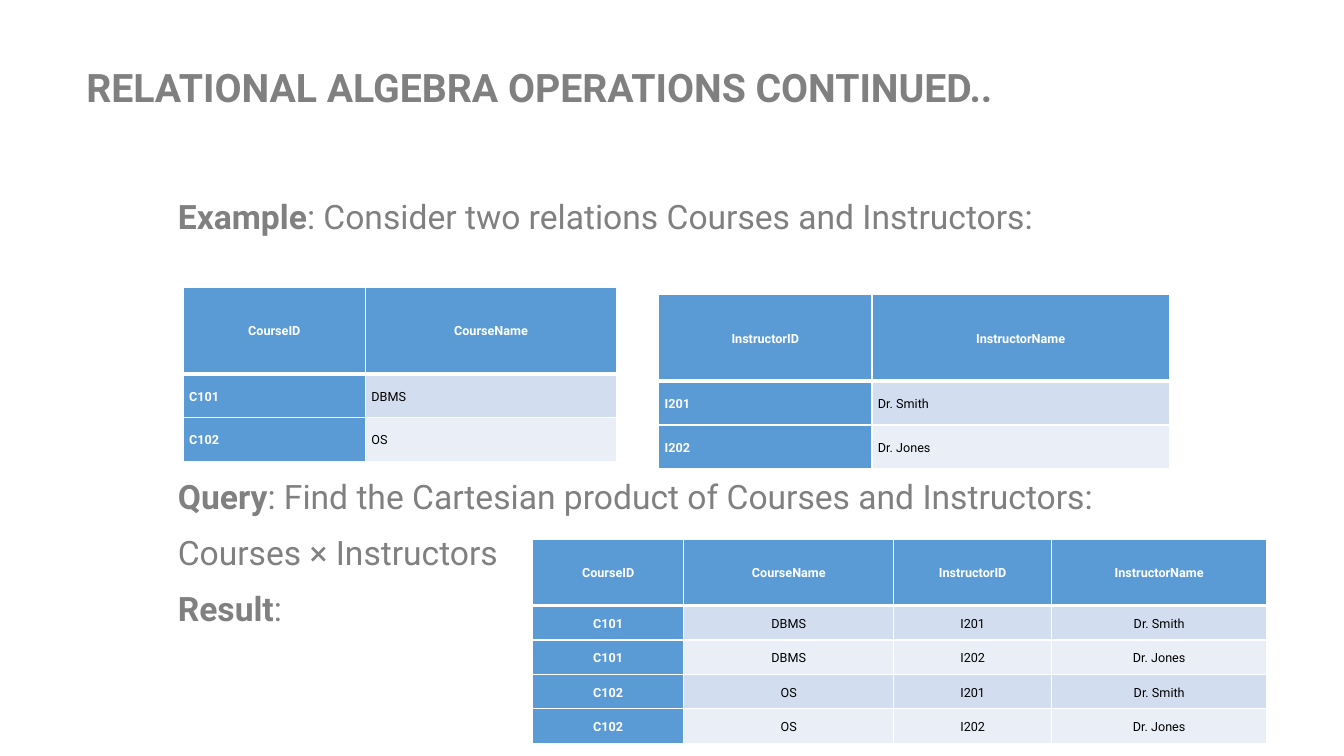
from dataclasses import dataclass
from itertools import product

from lxml import etree
from pptx import Presentation
from pptx import util as u
from pptx.dml.color import RGBColor
from pptx.enum import text
from pptx.oxml import ns

ALIGN, ANCHOR = text.PP_ALIGN, text.MSO_ANCHOR


@dataclass(frozen=True)
class Theme:
    font: str = "Roboto"
    grey: str = "808080"
    white: str = "FFFFFF"
    black: str = "000000"
    blue: str = "5B9BD5"
    bands: tuple = ("D2DEEF", "EAEFF7")
    title: int = 28
    body: int = 24
    cell: int = 9
    thin: int = 1
    thick: int = 3


def write(para, runs, *, font, size, color, align=ALIGN.LEFT, lead=0.9, after=0):
    """Fill a paragraph with (wording, bold) runs."""
    para.alignment = align
    para.line_spacing = lead
    para.space_after = u.Pt(after)
    for words, bold in runs:
        run = para.add_run()
        run.text = words
        run.font.name = font
        run.font.size = u.Pt(size)
        run.font.bold = bold
        run.font.color.rgb = RGBColor.from_string(color)


def edge(cell, side, width, color):
    """Draw one border; call before the cell is filled."""
    props = cell._tc.get_or_add_tcPr()
    line = etree.SubElement(props, ns.qn(f"a:ln{side}"), w=str(u.Pt(width)))
    fill = etree.SubElement(line, ns.qn("a:solidFill"))
    etree.SubElement(fill, ns.qn("a:srgbClr"), val=color)


class Page:
    """A slide on a grid of 16 columns by 9 rows."""

    def __init__(self, deck, theme):
        self.theme = theme
        self.slide = deck.slides.add_slide(deck.slide_layouts[6])
        self.col = deck.slide_width / 16
        self.row = deck.slide_height / 9

    def place(self, left, top, width, height):
        return (int(left * self.col), int(top * self.row),
                int(width * self.col), int(height * self.row))

    def box(self, spot, paras, anchor=ANCHOR.TOP, **style):
        """Add a text box from (runs, space after) pairs."""
        frame = self.slide.shapes.add_textbox(*self.place(*spot)).text_frame
        frame.word_wrap = True
        frame.vertical_anchor = anchor
        for i, (runs, after) in enumerate(paras):
            para = frame.add_paragraph() if i else frame.paragraphs[0]
            write(para, runs, font=self.theme.font, color=self.theme.grey,
                  after=after, **style)

    def table(self, left, top, cols, rows, data, align=ALIGN.LEFT):
        """Add a table; align is for the cells below the head."""
        spot = self.place(left, top, sum(cols), sum(rows))
        grid = self.slide.shapes.add_table(len(rows), len(cols), *spot).table
        grid.first_col = True
        grid.horz_banding = False
        for part, width in zip(grid.columns, cols):
            part.width = int(width * self.col)
        for part, height in zip(grid.rows, rows):
            part.height = int(height * self.row)
        for r, c in product(range(len(rows)), range(len(cols))):
            self.cell(grid.cell(r, c), r, c, data[r][c], align)

    def cell(self, cell, r, c, words, align):
        look = self.theme
        key = r == 0 or c == 0
        cell.margin_left = cell.margin_right = u.Inches(0.06)
        cell.margin_top = cell.margin_bottom = 0
        cell.vertical_anchor = ANCHOR.MIDDLE
        heavy = {0: "B", 1: "T"}.get(r)
        for side in "LRTB":
            width = look.thick if side == heavy else look.thin
            edge(cell, side, width, look.white)
        cell.fill.solid()
        shade = look.blue if key else look.bands[(r - 1) % 2]
        cell.fill.fore_color.rgb = RGBColor.from_string(shade)
        write(cell.text_frame.paragraphs[0], [(words, key)], font=look.font,
              size=look.cell, color=look.white if key else look.black,
              align=align if r else ALIGN.CENTER, lead=1.15)


def main():
    deck = Presentation()
    deck.slide_width, deck.slide_height = u.Inches(13.33), u.Inches(7.5)
    theme = Theme()
    page = Page(deck, theme)

    page.box((0.91, 0.52, 12.59, 1.1),
             [([("RELATIONAL ALGEBRA OPERATIONS CONTINUED..", True)], 0)],
             ANCHOR.MIDDLE, size=theme.title)
    gap, room = 14, 174  # room leaves space for the two source tables
    page.box((2, 2.33, 12.83, 5.26), [
        ([("Example", True),
          (": Consider two relations Courses and Instructors:", False)], room),
        ([("Query", True),
          (": Find the Cartesian product of Courses and Instructors:", False)], gap),
        ([("Courses × Instructors", False)], gap),
        ([("Result", True), (":", False)], gap),
    ], size=theme.body, align=ALIGN.JUSTIFY)

    courses = [("CourseID", "CourseName"), ("C101", "DBMS"), ("C102", "OS")]
    tutors = [("InstructorID", "InstructorName"),
              ("I201", "Dr. Smith"), ("I202", "Dr. Jones")]
    pairs = [courses[0] + tutors[0]]
    pairs += [a + b for a, b in product(courses[1:], tutors[1:])]

    page.table(2.18, 3.42, (2.17, 2.99), (1.03, 0.52, 0.52), courses)
    page.table(7.84, 3.5, (2.54, 3.54), (1.04, 0.52, 0.52), tutors)
    page.table(6.34, 6.42, (1.8, 2.5, 1.88, 2.56), (0.79,) + (0.41,) * 4,
               pairs, ALIGN.CENTER)
    deck.save("out.pptx")


if __name__ == "__main__":
    main()
